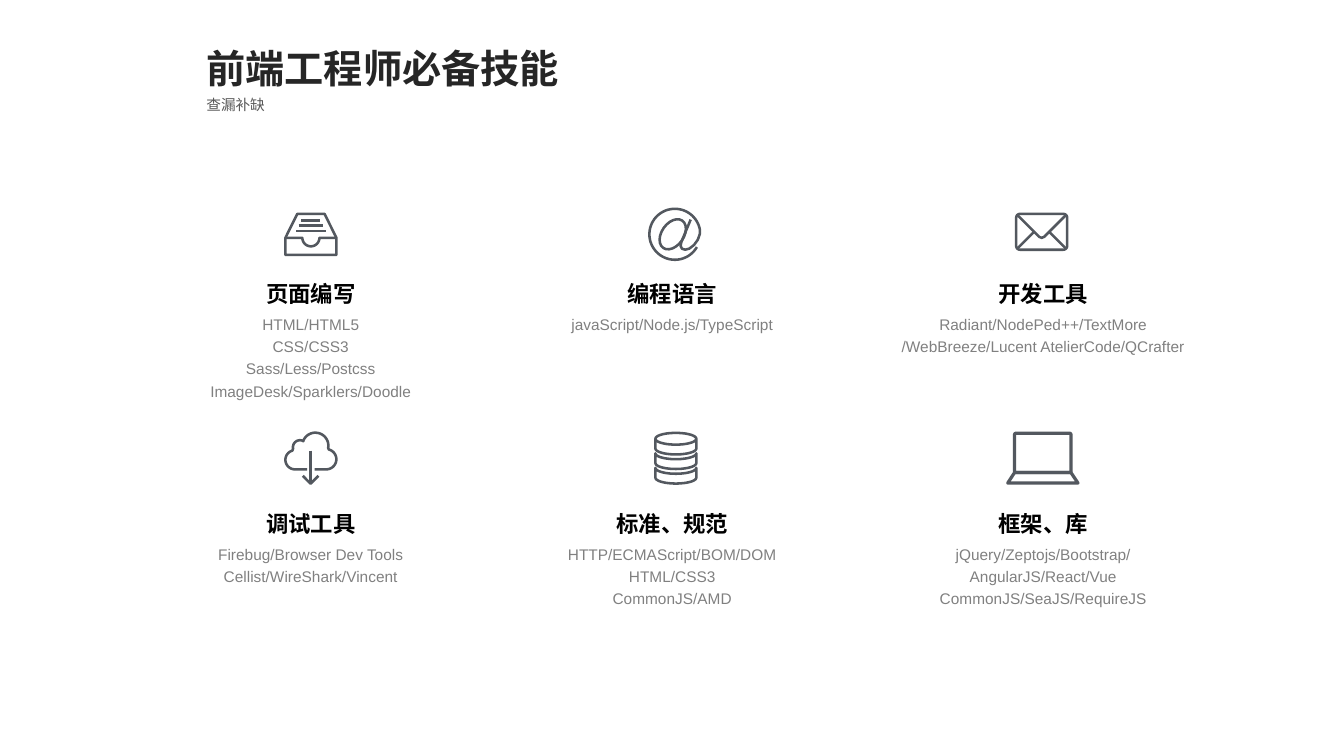
"""Build the slide listing the essential skills of a front-end engineer."""
from dataclasses import dataclass
from math import cos, radians, sin

from pptx import Presentation
from pptx.dml.color import RGBColor
from pptx.enum.text import MSO_AUTO_SIZE, PP_ALIGN
from pptx.slide import Slide
from pptx.util import Pt

TITLE_COLOR = RGBColor(0x26, 0x26, 0x26)
SUBTITLE_COLOR = RGBColor(0x59, 0x59, 0x59)
SKILL_COLOR = RGBColor(0x00, 0x00, 0x00)
TOOLS_COLOR = RGBColor(0x80, 0x80, 0x80)
ICON_COLOR = RGBColor(0x53, 0x58, 0x5F)

COLUMN_CENTERS = (222, 480.2, 745.2)
ROW_TOPS = (193, 357.1)
SKILL_WIDTH = 164
TOOLS_OFFSET = 25.9
TOOLS_LINE_HEIGHT = 16

Point = tuple[float, float]


@dataclass(frozen=True)
class Stroke:
    """One line of an icon, in points from the icon's corner."""
    points: list[Point]
    closed: bool = False


@dataclass(frozen=True)
class Icon:
    """An outlined icon and where its corner sits."""
    left: float
    top: float
    strokes: list[Stroke]
    weight: float = 1.8


@dataclass(frozen=True)
class Skill:
    """A skill with its icon and the tools it covers."""
    name: str
    tools: list[str]
    icon: Icon
    tools_width: float = 186


@dataclass(frozen=True)
class TextStyle:
    """The look of a text block."""
    size: float
    color: RGBColor
    font: str = "Arial"
    bold: bool = False
    centered: bool = True
    wrap: bool = True


TITLE = TextStyle(28, TITLE_COLOR, bold=True, centered=False, wrap=False)
SUBTITLE = TextStyle(10.5, SUBTITLE_COLOR, "Quicksand", centered=False)
SKILL_NAME = TextStyle(16, SKILL_COLOR, bold=True)
SKILL_TOOLS = TextStyle(11, TOOLS_COLOR)


def arc(cx: float, cy: float, rx: float, ry: float, start: float, end: float,
        tilt: float = 0, steps: int = 24) -> list[Point]:
    """Return points along an elliptical arc, angles running clockwise."""
    turn = radians(tilt)
    angles = [radians(start + (end - start) * i / steps) for i in range(steps + 1)]
    return [(cx + rx * cos(a) * cos(turn) - ry * sin(a) * sin(turn),
             cy + rx * cos(a) * sin(turn) + ry * sin(a) * cos(turn)) for a in angles]


def rounded_box(left: float, top: float, right: float, bottom: float, radius: float) -> Stroke:
    """Return a closed rectangle with rounded corners."""
    corners = ((right - radius, bottom - radius), (left + radius, bottom - radius),
               (left + radius, top + radius), (right - radius, top + radius))
    return Stroke([point for i, (x, y) in enumerate(corners)
                   for point in arc(x, y, radius, radius, 90 * i, 90 * i + 90, steps=6)], True)


def disk_band(level: int) -> Stroke:
    """Return one band of the database stack."""
    top = 5.2 + 10.4 * level
    return Stroke(arc(15.5, top, 14.6, 4.2, 0, 180)
                  + arc(15.5, top + 7, 14.6, 4.2, 180, 0), True)


INBOX = Icon(203, 151.9, [
    Stroke([(0.9, 18), (9.4, 0.9), (28.9, 0.9), (37.3, 18), (37.3, 30.2), (0.9, 30.2)], True),
    Stroke([(0.9, 18), *arc(19.1, 18, 6.1, 6.1, 180, 0), (37.3, 18)]),
    Stroke([(8.6, 13), (29.6, 13)]),
    Stroke([(10.3, 9.3), (27.9, 9.3)]),
    Stroke([(12.4, 5.8), (25.8, 5.8)]),
])
AT_SIGN = Icon(463, 148.3, [
    Stroke(arc(19.1, 19.1, 18.2, 18.2, 30, 350, steps=60)
           + [(36.9, 19), (35.5, 23), (32.8, 26.7), (29.5, 29.3), (26.5, 30.1),
              (24.2, 29.4), (23.2, 27.5), (23.8, 24.5), (30.4, 8.6)]),
    Stroke(arc(17.6, 19.1, 11.9, 7.9, 0, 360, tilt=-55), True),
])
ENVELOPE = Icon(725, 151.9, [
    rounded_box(0.9, 0.9, 37.3, 26.5, 2.7),
    Stroke([(1.8, 1.8), (17.3, 17.3), (19.1, 18), (20.9, 17.3), (36.4, 1.8)]),
    Stroke([(1.8, 25.6), (13.5, 13.9)]),
    Stroke([(36.4, 25.6), (24.7, 13.9)]),
])
CLOUD = Icon(203, 308.2, [
    Stroke([(16.4, 27.1), *arc(7.7, 20.3, 6.8, 6.8, 90, 255),
            *arc(11.3, 11.3, 5, 5, 170, 300), *arc(22.3, 10.2, 9.3, 9.3, 200, 370),
            *arc(30.1, 19.9, 7.2, 7.2, -75, 90), (21.8, 27.1)]),
    Stroke([(18.9, 13.7), (18.9, 37.3)]),
    Stroke([(13.3, 31.7), (18.9, 37.3), (24.5, 31.7)]),
])
DATABASE = Icon(467.3, 308.2, [
    Stroke(arc(15.5, 5.2, 14.6, 4.2, 180, 360)),
    *(disk_band(level) for level in range(3)),
])
LAPTOP = Icon(718.6, 308.2, [
    rounded_box(6.1, 1.3, 46.4, 29.4, 1),
    Stroke([(6.1, 29.4), (1.2, 36.9), (51.4, 36.9), (46.4, 29.4)], True),
], weight=2.3)

SKILLS = [
    Skill("页面编写", ["HTML/HTML5", "CSS/CSS3", "Sass/Less/Postcss",
                   "ImageDesk/Sparklers/Doodle"], INBOX),
    Skill("编程语言", ["javaScript/Node.js/TypeScript"], AT_SIGN),
    Skill("开发工具", ["Radiant/NodePed++/TextMore",
                   "/WebBreeze/Lucent AtelierCode/QCrafter"], ENVELOPE, 232),
    Skill("调试工具", ["Firebug/Browser Dev Tools", "Cellist/WireShark/Vincent"], CLOUD),
    Skill("标准、规范", ["HTTP/ECMAScript/BOM/DOM", "HTML/CSS3", "CommonJS/AMD"], DATABASE),
    Skill("框架、库", ["jQuery/Zeptojs/Bootstrap/", "AngularJS/React/Vue",
                   "CommonJS/SeaJS/RequireJS"], LAPTOP),
]


def add_text(slide: Slide, lines: list[str], left: float, top: float,
             width: float, height: float, style: TextStyle) -> None:
    """Add a text box with one paragraph per line."""
    frame = slide.shapes.add_textbox(Pt(left), Pt(top), Pt(width), Pt(height)).text_frame
    frame.word_wrap = style.wrap
    frame.auto_size = MSO_AUTO_SIZE.SHAPE_TO_FIT_TEXT
    frame.text = "\n".join(lines)
    for paragraph in frame.paragraphs:
        if style.centered:
            paragraph.alignment = PP_ALIGN.CENTER
            paragraph.line_spacing = 1.2
        paragraph.font.size = Pt(style.size)
        paragraph.font.name = style.font
        paragraph.font.bold = style.bold
        paragraph.font.color.rgb = style.color


def add_icon(slide: Slide, icon: Icon) -> None:
    """Draw all strokes of an icon as one outline."""
    paths = [[(Pt(icon.left + x), Pt(icon.top + y)) for x, y in stroke.points]
             for stroke in icon.strokes]
    builder = slide.shapes.build_freeform(*paths[0][0])
    for stroke, path in zip(icon.strokes, paths):
        if path is not paths[0]:
            builder.move_to(*path[0])
        builder.add_line_segments(path[1:], close=stroke.closed)
    outline = builder.convert_to_shape()
    outline.shadow.inherit = False
    outline.fill.background()
    outline.line.color.rgb = ICON_COLOR
    outline.line.width = Pt(icon.weight)


def add_skill(slide: Slide, skill: Skill, center: float, top: float) -> None:
    """Add a skill's icon, name and tools around a column centre."""
    add_icon(slide, skill.icon)
    add_text(slide, skill.tools, center - skill.tools_width / 2, top + TOOLS_OFFSET,
             skill.tools_width, 7.2 + TOOLS_LINE_HEIGHT * len(skill.tools), SKILL_TOOLS)
    add_text(slide, [skill.name], center - SKILL_WIDTH / 2, top, SKILL_WIDTH, 30.2, SKILL_NAME)


def main() -> None:
    """Build and save the slide."""
    presentation = Presentation()
    presentation.slide_width, presentation.slide_height = Pt(960), Pt(540)
    slide = presentation.slides.add_slide(presentation.slide_layouts[6])
    add_text(slide, ["查漏补缺"], 140.4, 64.8, 296.6, 20.2, SUBTITLE)
    add_text(slide, ["前端工程师必备技能"], 140.4, 28.1, 267.1, 41, TITLE)
    for i, skill in enumerate(SKILLS):
        row, column = divmod(i, len(COLUMN_CENTERS))
        add_skill(slide, skill, COLUMN_CENTERS[column], ROW_TOPS[row])
    presentation.save("out.pptx")


if __name__ == "__main__":
    main()
